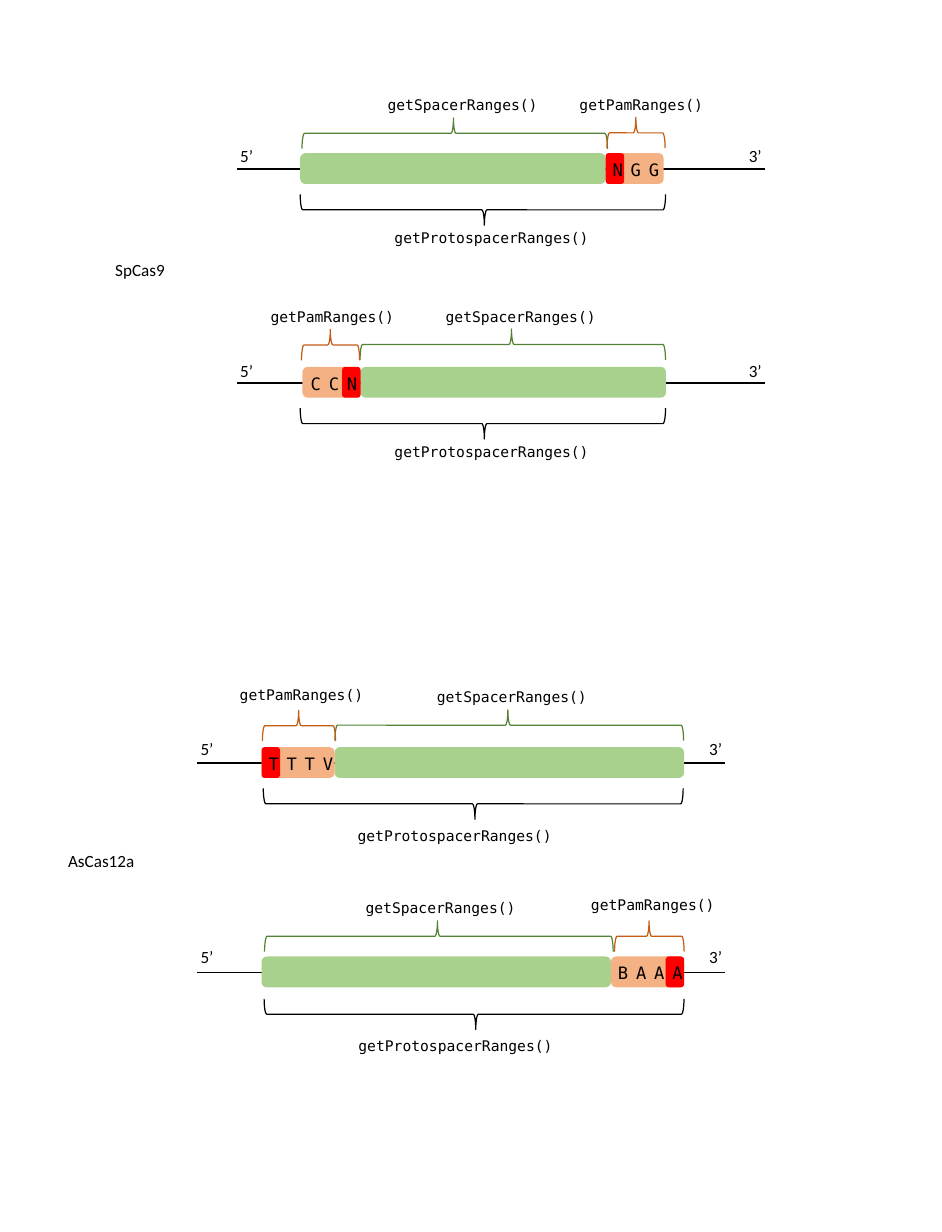
import pptx
import pptx.util
import pptx.dml.color
import pptx.enum.shapes
import pptx.enum.text
from lxml import etree

Pt = pptx.util.Pt
MSO = pptx.enum.shapes.MSO_SHAPE
COLORS = {"spacer": "A9D18E", "pam": "F4B183", "edge": "FF0000", "ink": "000000",
          "spacer_brace": "548235", "pam_brace": "C55A11"}
LABEL = {"name": "DejaVu Sans Mono", "size": Pt(12)}
BASE = {"name": "DejaVu Sans Mono", "size": Pt(14)}
PLAIN = {"name": "Calibri", "size": Pt(14)}
BAR_H, BRACE_H, PITCH, EDGE_W = 25.2, 25.2, 14.8, 15.1
LABEL_W, BASE_W, END_W = 250, 18.7, 85


def rgb(key):
    """Return the named colour."""
    return pptx.dml.color.RGBColor.from_string(COLORS[key])


def add_text(s, text, cx, y, w, fmt):
    """Place one centred line of text around cx."""
    tf = s.shapes.add_textbox(Pt(cx - w / 2), Pt(y), Pt(w), Pt(24.5)).text_frame
    tf.word_wrap = True
    tf.auto_size = pptx.enum.text.MSO_AUTO_SIZE.SHAPE_TO_FIT_TEXT
    p = tf.paragraphs[0]
    p.alignment = pptx.enum.text.PP_ALIGN.CENTER
    r = p.add_run()
    r.text = text
    for name, value in fmt.items():
        setattr(r.font, name, value)
    r.font.color.rgb = rgb("ink")


def add_line(s, x, y, w):
    """Draw a horizontal DNA strand line."""
    cn = s.shapes.add_connector(pptx.enum.shapes.MSO_CONNECTOR.STRAIGHT,
                                Pt(x), Pt(y), Pt(x + w), Pt(y))
    cn.line.width = Pt(1.25)
    cn.line.color.rgb = rgb("ink")
    sp_pr = cn.element.spPr
    etree.SubElement(sp_pr, pptx.oxml.ns.qn("a:effectLst"))


def add_bar(s, x, y, w, color):
    """Draw a filled rounded bar."""
    sp = s.shapes.add_shape(MSO.ROUNDED_RECTANGLE, Pt(x), Pt(y), Pt(w), Pt(BAR_H))
    sp.shadow.inherit = False
    sp.fill.solid()
    sp.fill.fore_color.rgb = rgb(color)
    sp.line.fill.background()


def add_brace(s, x, y, w, color, rotation):
    """Draw a brace that spans w points horizontally."""
    sp = s.shapes.add_shape(MSO.RIGHT_BRACE, Pt(x + (w - BRACE_H) / 2),
                            Pt(y + (BRACE_H - w) / 2), Pt(BRACE_H), Pt(w))
    sp.rotation = rotation
    sp.adjustments[0], sp.adjustments[1] = 0.083, 0.496
    sp.shadow.inherit = False
    sp.fill.background()
    sp.line.width = Pt(1)
    sp.line.color.rgb = rgb(color)


def add_strand(s, box, start, spacer_w, pam_w, pam, pam_first, edge_first, shift, end_y, marks):
    """Place a strand, its bars, PAM bases, braces and labels in the box."""
    x, y, w = box
    first = x + start
    spacer_x, pam_x = (first + pam_w, first) if pam_first else (first, first + spacer_w)
    add_line(s, x, y + 13, w)
    add_bar(s, spacer_x, y, spacer_w, "spacer")
    add_bar(s, pam_x, y, pam_w, "pam")
    add_bar(s, pam_x if edge_first else pam_x + pam_w - EDGE_W, y, EDGE_W, "edge")
    for i, base in enumerate(pam):
        add_text(s, base, pam_x + shift + i * PITCH, y + 1.4, BASE_W, BASE)
    for text, cx in (("5’", x + 8), ("3’", x + w - 8)):
        add_text(s, text, cx, y + end_y, END_W, PLAIN)
    kinds = (("getSpacerRanges()", "spacer_brace", 270), ("getPamRanges()", "pam_brace", 270),
             ("getProtospacerRanges()", "ink", 90))
    for (text, color, rotation), (bx, by, bw, cx, ty) in zip(kinds, marks):
        add_brace(s, x + bx, y + by, bw, color, rotation)
        add_text(s, text, x + cx, y + ty, LABEL_W, LABEL)


def main():
    """Build the slide of nuclease target ranges."""
    prs = pptx.Presentation()
    prs.slide_width, prs.slide_height = Pt(770.4), Pt(1008)
    s = prs.slides.add_slide(prs.slide_layouts[6])
    strands = (
        ((193.7, 125.3, 432), 51.8, 249.8, 47.5, "NGG", False, True, 8, -10,
         ((53.3, -28.8, 249.8, 184.7, -50.4), (302.8, -29.2, 47.5, 330.8, -50.4),
          (51.8, 33.8, 298.8, 208.4, 58.3))),
        ((193.7, 300.2, 432), 53.7, 249.8, 47.5, "CCN", True, False, 9, -8.6,
         ((100.8, -31, 249.8, 232.2, -51.8), (52.9, -30.6, 47.5, 78.1, -51.8),
          (51.8, 33.8, 298.8, 208.4, 59))),
        ((161.3, 611.3, 432), 52.6, 285.8, 59.8, "TTTV", True, True, 8, -10.8,
         ((112.7, -30.6, 285.1, 257.4, -51.8), (53.3, -30.2, 59.8, 85.3, -54),
          (54, 33.8, 343.4, 210.6, 61.9))),
        ((161.3, 782.6, 432), 52.6, 285.8, 59.8, "BAAA", False, False, 8, -11.5,
         ((55.1, -29.2, 285.1, 199.1, -50.4), (341.3, -29.2, 56.9, 372.6, -53.3),
          (54.7, 34.6, 343.4, 211.3, 62.6))),
    )
    for strand in strands:
        add_strand(s, *strand)
    for text, cx, y in (("SpCas9", 114.5, 208.8), ("AsCas12a", 82.8, 691.9)):
        add_text(s, text, cx, y, 110, PLAIN)
    prs.save("out.pptx")


if __name__ == "__main__":
    main()
